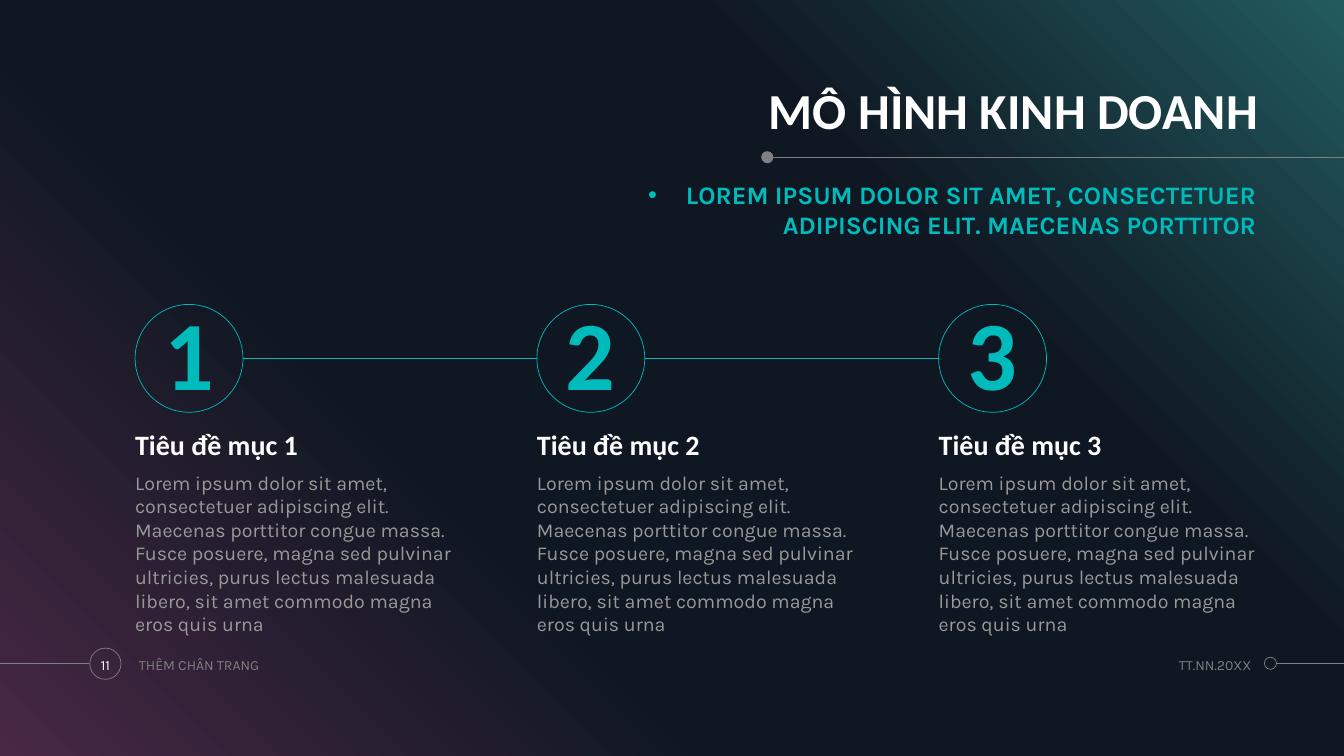
from copy import deepcopy
from dataclasses import dataclass

from pptx import Presentation
from pptx.dml.color import RGBColor
from pptx.enum.shapes import MSO_CONNECTOR, MSO_SHAPE
from pptx.enum.text import MSO_ANCHOR, MSO_AUTO_SIZE, PP_ALIGN
from pptx.oxml.ns import qn
from pptx.util import Inches, Pt


@dataclass(frozen=True)
class Theme:
    head: str = "Calibri"
    text: str = "Karla"
    white: str = "FFFFFF"
    teal: str = "00BBBB"
    gray: str = "808080"
    soft: str = "999999"
    title: int = 36
    lead: int = 18
    digit: int = 70
    item: int = 20
    body: int = 14
    small: int = 10
    rule: float = 0.5
    stops: tuple = ((0, "482845"), (0.34, "0F1722"),
                    (0.69, "0F1722"), (1, "225B5F"))


THEME = Theme()
LEFT, STEP, RING = 1.34, 3.985, 1.07
RING_TOP = 3.02
BLURB = (
    "Lorem ipsum dolor sit amet, consectetuer adipiscing elit. "
    "Maecenas porttitor congue massa. Fusce posuere, magna sed pulvinar "
    "ultricies, purus lectus malesuada libero, sit amet commodo magna "
    "eros quis urna"
)


def rgb(code):
    return RGBColor.from_string(code)


def paint(slide):
    """Fill the background with the diagonal gradient."""
    fill = slide.background.fill
    fill.gradient()
    fill.gradient_angle = 45
    stops = slide._element.find(".//" + qn("a:gsLst"))
    while len(stops) < len(THEME.stops):
        stops.append(deepcopy(stops[-1]))
    for stop, (place, color) in zip(fill.gradient_stops, THEME.stops):
        stop.position = place
        stop.color.rgb = rgb(color)


def line(slide, x1, x2, y, color):
    rule = slide.shapes.add_connector(
        MSO_CONNECTOR.STRAIGHT, Inches(x1), Inches(y), Inches(x2), Inches(y))
    rule.line.color.rgb = rgb(color)
    rule.line.width = Pt(THEME.rule)
    props = rule._element.spPr
    props.append(props.makeelement(qn("a:effectLst"), {}))


def circle(slide, left, top, size, color, solid=False):
    ring = slide.shapes.add_shape(
        MSO_SHAPE.OVAL, Inches(left), Inches(top), Inches(size), Inches(size))
    ring.shadow.inherit = False
    if solid:
        ring.fill.solid()
        ring.fill.fore_color.rgb = rgb(color)
        ring.line.fill.background()
    else:
        ring.fill.background()
        ring.line.color.rgb = rgb(color)
        ring.line.width = Pt(THEME.rule)
    return ring


def write(shape, text, size, color, face=THEME.text, bold=False,
          align=PP_ALIGN.LEFT, anchor=MSO_ANCHOR.TOP, space=1.0, inset=0):
    frame = shape.text_frame
    frame.text = text
    frame.word_wrap = True
    frame.auto_size = MSO_AUTO_SIZE.NONE
    frame.vertical_anchor = anchor
    frame.margin_left = frame.margin_right = Inches(inset)
    frame.margin_top = frame.margin_bottom = 0
    para = frame.paragraphs[0]
    para.alignment = align
    para.line_spacing = space
    para.space_before = Pt(0)
    font = para.font
    font.name, font.size, font.bold = face, Pt(size), bold
    font.color.rgb = rgb(color)


def place(shape, left, top, width, height):
    shape.left, shape.top = Inches(left), Inches(top)
    shape.width, shape.height = Inches(width), Inches(height)


def label(slide, box, text, size, color, **style):
    shape = slide.shapes.add_textbox(*map(Inches, box))
    write(shape, text, size, color, **style)


def header(slide):
    title, lead = slide.shapes.title, slide.placeholders[1]
    place(title, 5.58, 0.77, 6.9, 0.62)
    write(title, "MÔ HÌNH KINH DOANH", THEME.title, THEME.white, THEME.head,
          bold=True, align=PP_ALIGN.RIGHT, anchor=MSO_ANCHOR.BOTTOM, space=0.9)
    place(lead, 5.58, 1.78, 6.88, 0.62)
    props = lead.text_frame.paragraphs[0]._p.get_or_add_pPr()
    props.set("marL", "0")
    props.set("indent", "0")
    props.append(props.makeelement(qn("a:buNone"), {}))
    write(lead, "LOREM IPSUM DOLOR SIT AMET, CONSECTETUER "
          "ADIPISCING ELIT. MAECENAS PORTTITOR", THEME.lead, THEME.teal,
          bold=True, align=PP_ALIGN.RIGHT)
    line(slide, 7.6, 13.33, 1.56, THEME.gray)
    circle(slide, 7.55, 1.5, 0.12, THEME.gray, solid=True)


def column(slide, left, number):
    ring = circle(slide, left, RING_TOP, RING, THEME.teal)
    write(ring, str(number), THEME.digit, THEME.teal, THEME.head, bold=True,
          align=PP_ALIGN.CENTER, anchor=MSO_ANCHOR.MIDDLE, space=0.9)
    label(slide, (left, 4.22, 3.22, 0.36), f"Tiêu đề mục {number}",
          THEME.item, THEME.white, face=THEME.head, bold=True,
          anchor=MSO_ANCHOR.BOTTOM, space=0.9)
    label(slide, (left, 4.67, 3.22, 1.55), BLURB, THEME.body, THEME.soft)


def footer(slide):
    line(slide, 0, 0.88, 6.58, THEME.gray)
    circle(slide, 0.89, 6.43, 0.31, THEME.gray)
    line(slide, 12.66, 13.33, 6.58, THEME.gray)
    circle(slide, 12.54, 6.52, 0.12, THEME.gray)
    mid = MSO_ANCHOR.MIDDLE
    label(slide, (0.85, 6.43, 0.39, 0.33), "11", THEME.small, THEME.white,
          align=PP_ALIGN.CENTER, anchor=mid, inset=0.1)
    label(slide, (1.28, 6.43, 3.19, 0.33), "THÊM CHÂN TRANG", THEME.small,
          THEME.gray, anchor=mid, inset=0.1)
    label(slide, (10.95, 6.43, 1.46, 0.33), "TT.NN.20XX", THEME.small,
          THEME.gray, align=PP_ALIGN.RIGHT, anchor=mid)


def main():
    deck = Presentation()
    deck.slide_width, deck.slide_height = Inches(13.33), Inches(7.5)
    slide = deck.slides.add_slide(deck.slide_layouts[1])
    paint(slide)
    header(slide)
    for index in range(3):
        left = LEFT + index * STEP
        column(slide, left, index + 1)
        if index < 2:
            line(slide, left + RING, left + STEP, 3.56, THEME.teal)
    footer(slide)
    deck.save("out.pptx")


if __name__ == "__main__":
    main()
